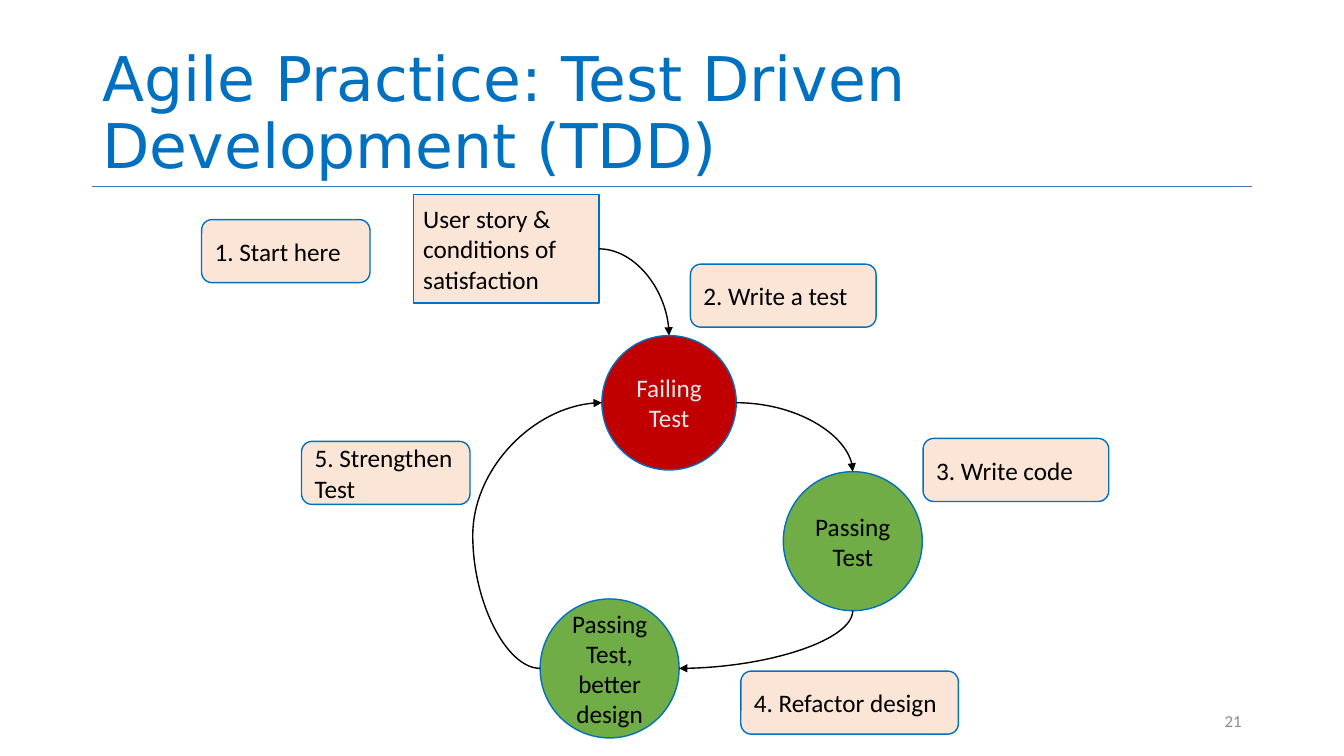
from lxml import etree
from pptx import Presentation
from pptx.dml.color import RGBColor
from pptx.enum.shapes import MSO_CONNECTOR, MSO_SHAPE
from pptx.enum.text import MSO_ANCHOR, MSO_AUTO_SIZE, PP_ALIGN
from pptx.oxml.ns import qn
from pptx.util import Inches, Pt

RECT, ROUND, OVAL = MSO_SHAPE.RECTANGLE, MSO_SHAPE.ROUNDED_RECTANGLE, MSO_SHAPE.OVAL
STRAIGHT, CURVE = MSO_CONNECTOR.STRAIGHT, MSO_CONNECTOR.CURVE
LEFT, CENTER, RIGHT = PP_ALIGN.LEFT, PP_ALIGN.CENTER, PP_ALIGN.RIGHT
MIDDLE, BOTTOM = MSO_ANCHOR.MIDDLE, MSO_ANCHOR.BOTTOM
COLS, ROWS = 32, 18
CELL = Inches(7.5) / ROWS
BLUE, PEACH, RED, GREEN = "0070C0", "FBE5D6", "C00000", "70AD47"

STEPS = [
    ("1. Start here", 4.8, 5.23, 4.01),
    ("2. Write a test", 16.44, 6.29, 4.42),
    ("3. Write code", 21.98, 10.44, 4.42),
    ("4. Refactor design", 17.64, 15.98, 5.18),
    ("5. Strengthen Test", 7.18, 10.51, 4.01),
]


def grid(*cells):
    """Turn grid cells into slide lengths."""
    return [round(cell * CELL) for cell in cells]


def color(code):
    return RGBColor.from_string(code)


def write(shape, text, size=18, font="Calibri", ink="000000",
          align=LEFT, anchor=MIDDLE, space=1.0):
    frame = shape.text_frame
    frame.word_wrap = True
    frame.auto_size = MSO_AUTO_SIZE.NONE
    frame.vertical_anchor = anchor
    para = frame.paragraphs[0]
    para.alignment = align
    para.line_spacing = space
    run = para.add_run()
    run.text = text
    run.font.size = Pt(size)
    run.font.name = font
    run.font.color.rgb = color(ink)


def node(slide, kind, box, text, fill=PEACH, **style):
    shape = slide.shapes.add_shape(kind, *grid(*box))
    shape.shadow.inherit = False
    shape.fill.solid()
    shape.fill.fore_color.rgb = color(fill)
    shape.line.color.rgb = color(BLUE)
    shape.line.width = Pt(1)
    write(shape, text, **style)
    return shape


def line(slide, kind, start, end, ink, width):
    link = slide.shapes.add_connector(kind, *start, *end)
    link.line.color.rgb = color(ink)
    link.line.width = Pt(width)
    etree.SubElement(link._element.spPr, qn("a:effectLst"))
    return link


def side(shape, across, down):
    """Point at the given shares of a shape's width and height."""
    return (round(shape.left + across * shape.width),
            round(shape.top + down * shape.height))


def curve(slide, start, end, tip="tailEnd", bend=None):
    """Curved arrow; a bend makes it a C shape, else a quarter turn."""
    link = line(slide, CURVE, start, end, "000000", 1)
    etree.SubElement(link.line._get_or_add_ln(), qn("a:" + tip), type="triangle")
    geom = link._element.spPr.find(qn("a:prstGeom"))
    if bend is None:
        geom.set("prst", "curvedConnector2")
    else:
        guides = geom.find(qn("a:avLst"))
        if guides is None:
            guides = etree.SubElement(geom, qn("a:avLst"))
        etree.SubElement(guides, qn("a:gd"), name="adj1",
                         fmla=f"val {round(bend * 100000)}")


def head(slide):
    line(slide, STRAIGHT, grid(2.2, 4.44), grid(29.8, 4.44), "4472C4", 0.5)
    title = slide.shapes.title
    title.left, title.top, title.width, title.height = grid(2.2, 0.96, 27.6, 3.48)
    write(title, "Agile Practice: Test Driven Development (TDD)", size=44,
          font="DejaVu Sans", ink=BLUE, anchor=BOTTOM, space=0.9)
    page = slide.shapes.add_textbox(*grid(22.6, 16.68, 7.2, 0.96))
    write(page, "21", size=12, ink="8C8C8C", align=RIGHT)


def cycle(slide):
    story = node(slide, RECT, (9.84, 4.63, 4.42, 2.59),
                 "User story & conditions of satisfaction")
    for text, left, top, width in STEPS:
        node(slide, ROUND, (left, top, width, 1.5), text)
    fail = node(slide, OVAL, (14.33, 7.99, 3.2, 3.2), "Failing Test",
                RED, ink="E7E6E6", align=CENTER)
    done = node(slide, OVAL, (18.65, 11.23, 3.31, 3.31), "Passing Test",
                GREEN, align=CENTER)
    clean = node(slide, OVAL, (12.86, 14.26, 3.31, 3.31),
                 "Passing Test, better design", GREEN, align=CENTER)
    curve(slide, side(story, 1, 0.5), side(fail, 0.5, 0))
    curve(slide, side(clean, 1, 0.5), side(done, 0.5, 1), tip="headEnd")
    curve(slide, side(fail, 1, 0.5), side(done, 0.5, 0))
    curve(slide, side(clean, 0, 0.5), side(fail, 0, 0.5), bend=-1.09)


def main():
    deck = Presentation()
    deck.slide_width, deck.slide_height = grid(COLS, ROWS)
    slide = deck.slides.add_slide(deck.slide_layouts[5])
    head(slide)
    cycle(slide)
    deck.save("out.pptx")


if __name__ == "__main__":
    main()
